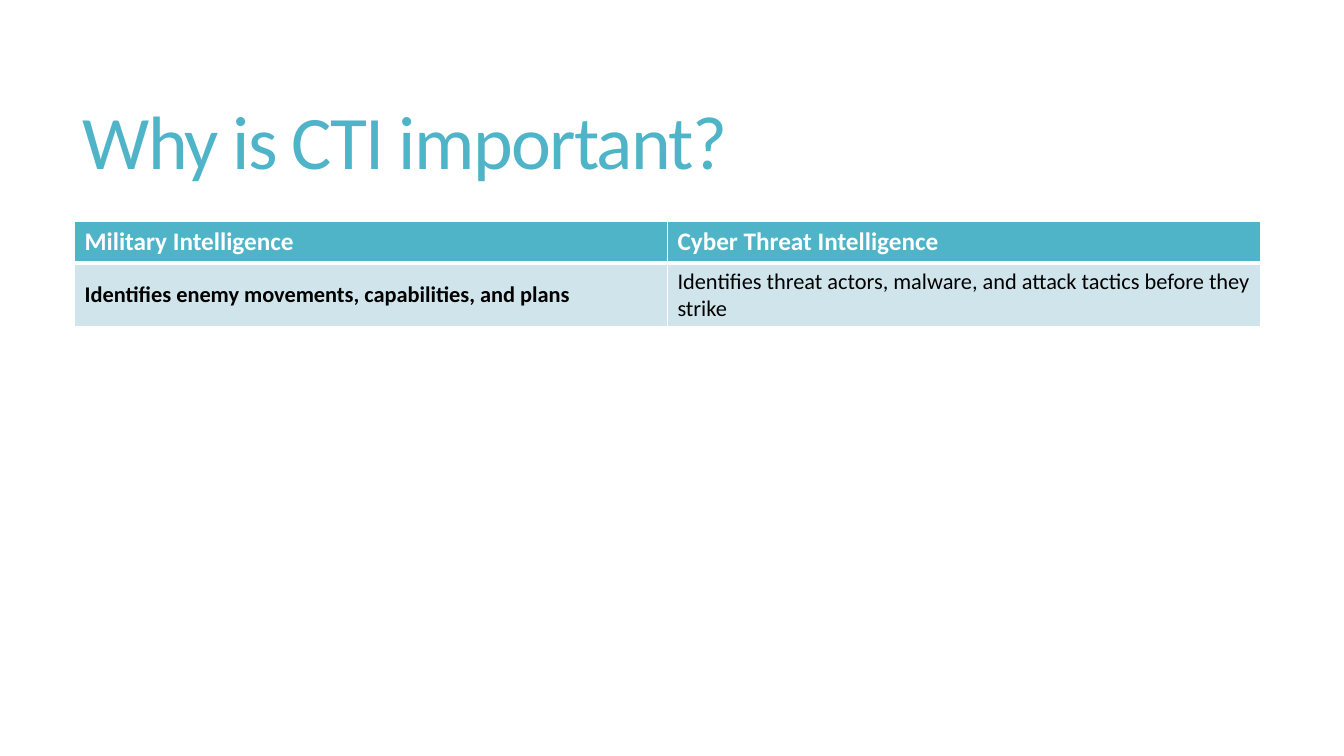
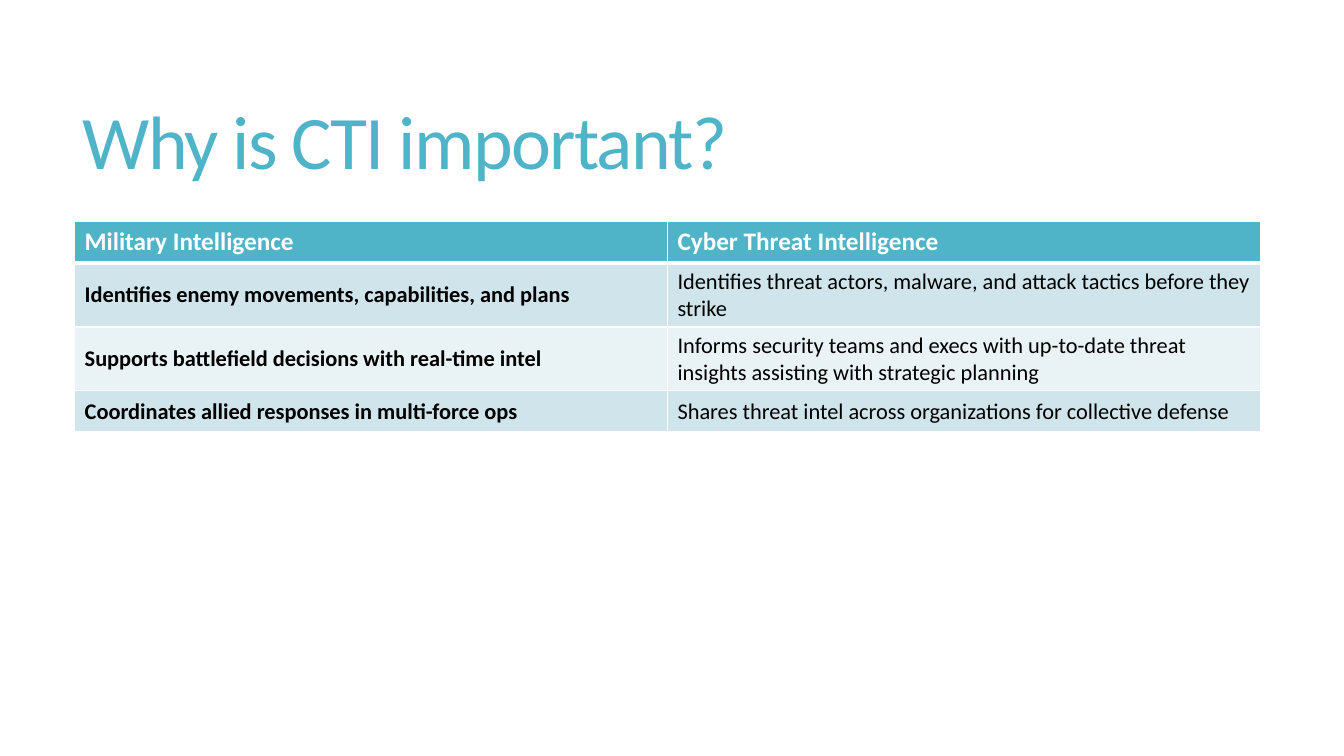
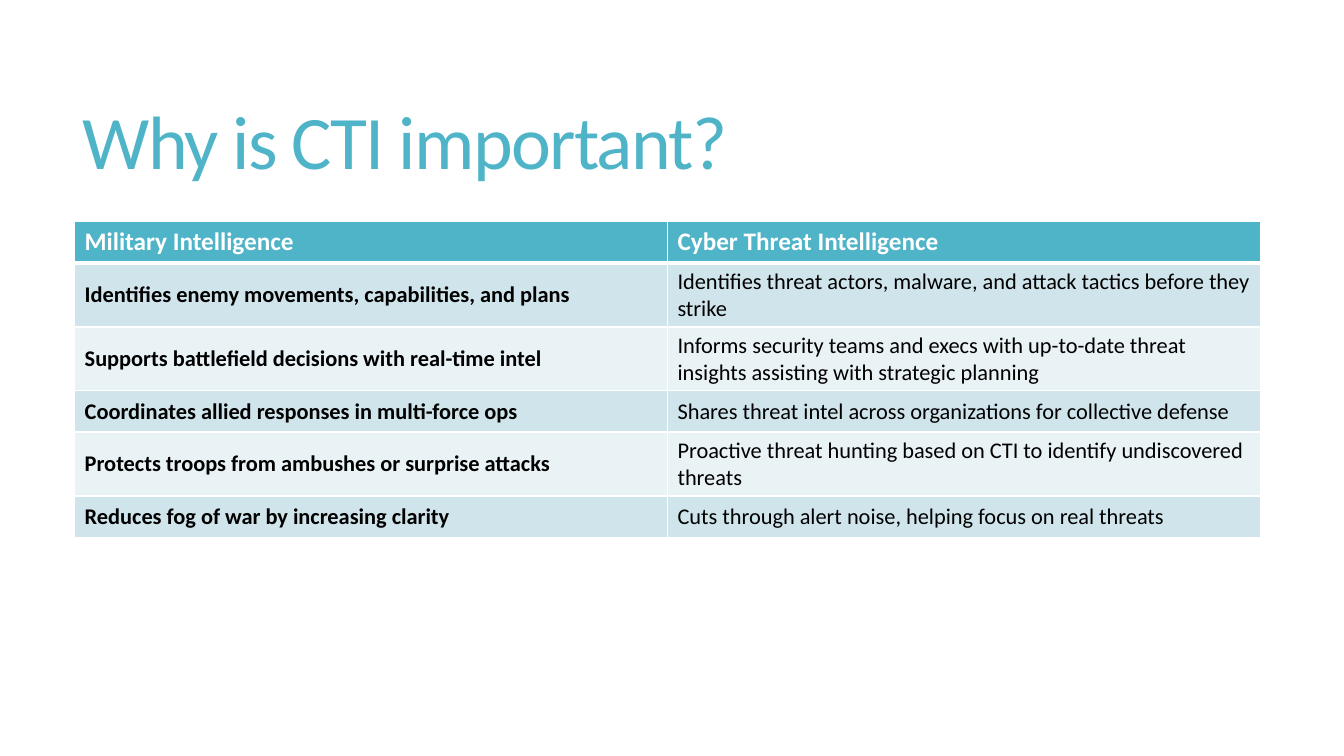
from lxml.etree import SubElement
from pptx import Presentation
from pptx.dml.color import RGBColor
from pptx.enum.text import MSO_ANCHOR
from pptx.oxml.ns import qn
from pptx.util import Inches, Pt

TEAL = RGBColor(0x50, 0xB4, 0xC8)
BAND_DARK = RGBColor(0xD0, 0xE5, 0xEB)
BAND_LIGHT = RGBColor(0xE9, 0xF2, 0xF5)
WHITE = RGBColor(0xFF, 0xFF, 0xFF)
BLACK = RGBColor(0x00, 0x00, 0x00)
FONT = "Calibri"

TITLE = "Why is CTI important?"
HEADER = ("Military Intelligence", "Cyber Threat Intelligence")
COMPARISONS = [
    ("Identifies enemy movements, capabilities, and plans",
     "Identifies threat actors, malware, and attack tactics before they strike"),
    ("Supports battlefield decisions with real-time intel",
     "Informs security teams and execs with up-to-date threat insights assisting with strategic planning"),
    ("Coordinates allied responses in multi-force ops",
     "Shares threat intel across organizations for collective defense"),
    ("Protects troops from ambushes or surprise attacks",
     "Proactive threat hunting based on CTI to identify undiscovered threats"),
    ("Reduces fog of war by increasing clarity",
     "Cuts through alert noise, helping focus on real threats"),
]
COMPARISONS_SHOWN = (1, 3, 5)
COLUMN_WIDTH = Inches(5.88)
ROW_HEIGHT = Inches(0.41)


def format_run(run, size, color, bold=False):
    run.font.name = FONT
    run.font.size = Pt(size)
    run.font.color.rgb = color
    run.font.bold = bold


def add_title(slide, text):
    box = slide.shapes.add_textbox(Inches(0.72), Inches(0.55), Inches(11.78), Inches(1.81))
    frame = box.text_frame
    frame.word_wrap = True
    frame.vertical_anchor = MSO_ANCHOR.MIDDLE
    frame.text = text
    paragraph = frame.paragraphs[0]
    paragraph.line_spacing = 0.85
    run = paragraph.runs[0]
    format_run(run, 54, TEAL)
    run.font._element.set("spc", "-120")


def set_borders(cell, top, bottom):
    properties = cell._tc.get_or_add_tcPr()
    for side, width in (("L", 1), ("R", 1), ("T", top), ("B", bottom)):
        line = SubElement(properties, qn(f"a:ln{side}"), w=str(Pt(width)))
        fill = SubElement(line, qn("a:solidFill"))
        SubElement(fill, qn("a:srgbClr"), val=str(WHITE))


def fill_cell(cell, text, row, column):
    is_header = row == 0
    set_borders(cell, top=3 if row == 1 else 1, bottom=3 if is_header else 1)
    cell.fill.solid()
    cell.text_frame.text = text
    run = cell.text_frame.paragraphs[0].runs[0]
    if is_header:
        cell.fill.fore_color.rgb = TEAL
        format_run(run, 18, WHITE, bold=True)
    else:
        cell.fill.fore_color.rgb = BAND_DARK if row % 2 else BAND_LIGHT
        cell.vertical_anchor = MSO_ANCHOR.MIDDLE
        format_run(run, 16, BLACK, bold=column == 0)


def add_comparison_table(slide, rows):
    table = slide.shapes.add_table(
        len(rows), len(HEADER), Inches(0.74), Inches(2.2),
        COLUMN_WIDTH * len(HEADER), ROW_HEIGHT * len(rows)).table
    for row, texts in enumerate(rows):
        for column, text in enumerate(texts):
            fill_cell(table.cell(row, column), text, row, column)


def main():
    presentation = Presentation()
    presentation.slide_width = Inches(13.33)
    presentation.slide_height = Inches(7.5)
    for count in COMPARISONS_SHOWN:
        slide = presentation.slides.add_slide(presentation.slide_layouts[6])
        add_title(slide, TITLE)
        add_comparison_table(slide, [HEADER] + COMPARISONS[:count])
    presentation.save("out.pptx")


if __name__ == "__main__":
    main()
